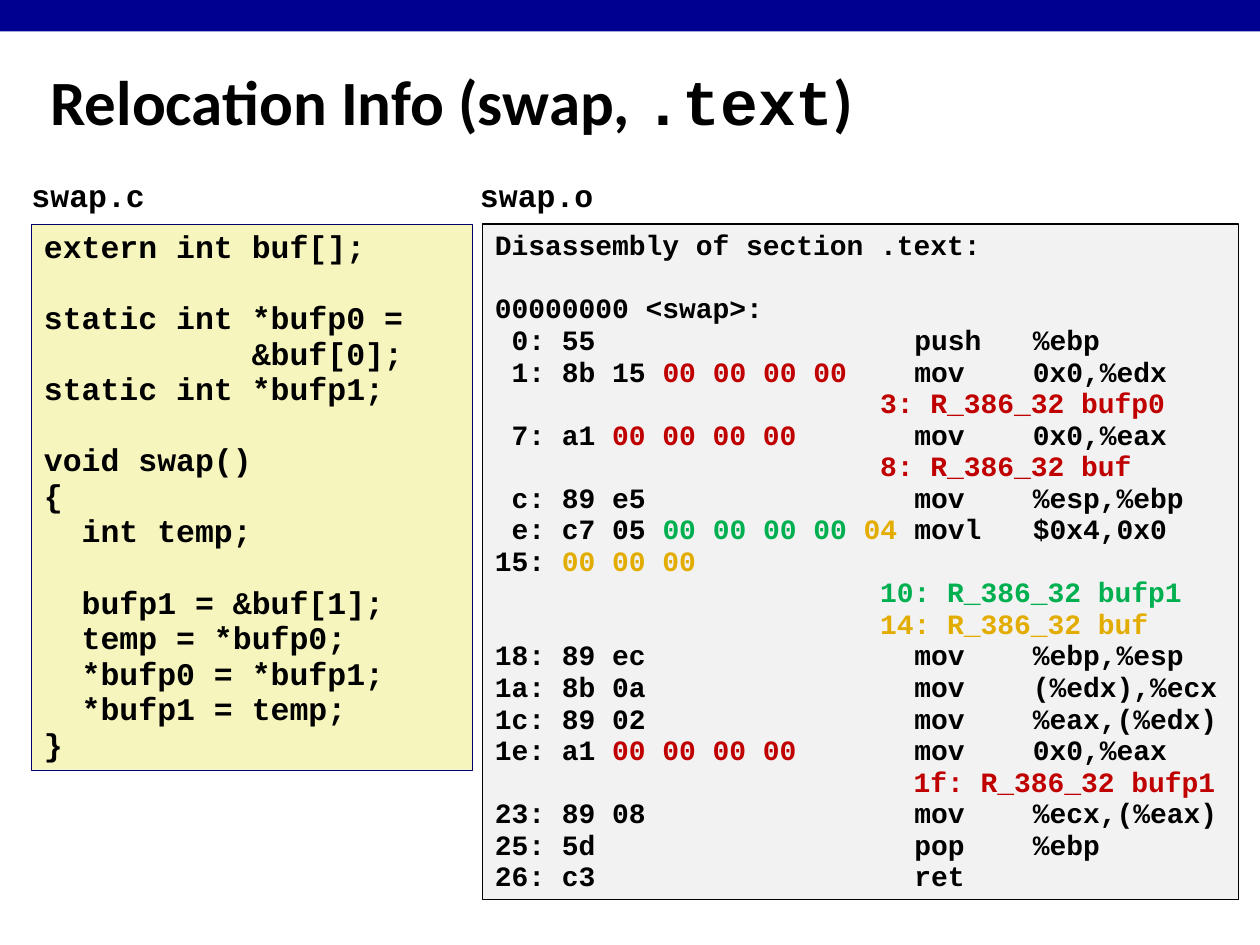
import pptx
import pptx.dml.color
import pptx.enum.shapes
import pptx.enum.text
import pptx.oxml.ns
import pptx.util
from lxml import etree
from pptx.util import Inches

RGBColor = pptx.dml.color.RGBColor
BLACK = RGBColor(0x00, 0x00, 0x00)
NAVY = RGBColor(0x00, 0x00, 0x90)
DARK_NAVY = RGBColor(0x00, 0x00, 0x66)
CREAM = RGBColor(0xF6, 0xF5, 0xBD)
GRAY = RGBColor(0xF2, 0xF2, 0xF2)
RED = RGBColor(0xC0, 0x00, 0x00)
GREEN = RGBColor(0x00, 0xB0, 0x50)
GOLD = RGBColor(0xE2, 0xAC, 0x00)

SOURCE_CODE = """extern int buf[];

static int *bufp0 =
           &buf[0];
static int *bufp1;

void swap()
{
  int temp;

  bufp1 = &buf[1];
  temp = *bufp0;
  *bufp0 = *bufp1;
  *bufp1 = temp;
}""".split("\n")

INDENT = " " * 23
DISASSEMBLY = [
    "Disassembly of section .text:",
    "",
    "00000000 <swap>:",
    " 0: 55\tpush\t%ebp",
    [" 1: 8b 15 ", ("00 00 00 00", RED), "\tmov\t0x0,%edx"],
    [(INDENT + "3: R_386_32 bufp0", RED)],
    [" 7: a1 ", ("00 00 00 00", RED), "\tmov\t0x0,%eax"],
    [(INDENT + "8: R_386_32 buf", RED)],
    " c: 89 e5\tmov\t%esp,%ebp",
    [" e: c7 05 ", ("00 00 00 00 ", GREEN), ("04", GOLD), "\tmovl\t$0x4,0x0"],
    ["15: ", ("00 00 00", GOLD)],
    [(INDENT + "10: R_386_32 bufp1", GREEN)],
    [(INDENT + "14: R_386_32 buf", GOLD)],
    "18: 89 ec\tmov\t%ebp,%esp",
    "1a: 8b 0a\tmov\t(%edx),%ecx",
    "1c: 89 02\tmov\t%eax,(%edx)",
    ["1e: a1 ", ("00 00 00 00", RED), "\tmov\t0x0,%eax"],
    [(INDENT + "  1f: R_386_32 bufp1", RED)],
    "23: 89 08\tmov\t%ecx,(%eax)",
    "25: 5d\tpop\t%ebp",
    "26: c3\tret",
]


class CodeSlide:
    """Holds the fonts and the slide, and adds each kind of element."""

    heading_font = "Calibri"
    code_font = "Courier New"
    line_height = 1.13

    def __init__(self, slide):
        self.slide = slide

    def style(self, paragraph, size, name=None):
        paragraph.font.size = pptx.util.Pt(size)
        paragraph.font.bold = True
        paragraph.font.color.rgb = BLACK
        if name:
            paragraph.font.name = name

    def title(self, parts, left, top, width, height):
        title = self.slide.shapes.title
        title.left, title.top = Inches(left), Inches(top)
        title.width, title.height = Inches(width), Inches(height)
        frame = title.text_frame
        frame.auto_size = pptx.enum.text.MSO_AUTO_SIZE.NONE
        frame.vertical_anchor = pptx.enum.text.MSO_ANCHOR.MIDDLE
        heading = frame.paragraphs[0]
        heading.alignment = pptx.enum.text.PP_ALIGN.LEFT
        heading.line_spacing = 0.82
        self.style(heading, 36)
        for text, font_name in parts:
            run = heading.add_run()
            run.text = text
            run.font.name = font_name

    def box(self, left, top, width, height, fill, line=None, line_width=0):
        box = self.slide.shapes.add_shape(
            pptx.enum.shapes.MSO_SHAPE.RECTANGLE,
            Inches(left), Inches(top), Inches(width), Inches(height))
        box.shadow.inherit = False
        box.fill.solid()
        box.fill.fore_color.rgb = fill
        if line is None:
            box.line.fill.background()
        else:
            box.line.color.rgb = line
            box.line.width = pptx.util.Pt(line_width)
        return box

    def tabs(self, paragraph, columns, size):
        properties = paragraph._p.get_or_add_pPr()
        stops = etree.SubElement(properties, pptx.oxml.ns.qn("a:tabLst"))
        for column in columns:
            position = Inches(round(column * 0.6 * size / 72, 2))
            etree.SubElement(stops, pptx.oxml.ns.qn("a:tab"),
                             pos=str(position), algn="l")

    def code(self, box, lines, size, columns=()):
        frame = box.text_frame
        frame.word_wrap = True
        frame.vertical_anchor = pptx.enum.text.MSO_ANCHOR.TOP
        paragraph = frame.paragraphs[0]
        for previous, line in zip([None] + lines, lines):
            if not line:
                continue
            if previous is not None:
                paragraph = frame.add_paragraph()
            paragraph.alignment = pptx.enum.text.PP_ALIGN.LEFT
            paragraph.line_spacing = 0.94
            if previous == "":
                paragraph.space_before = pptx.util.Pt(round(size * self.line_height, 1))
            if columns:
                self.tabs(paragraph, columns, size)
            self.style(paragraph, size, self.code_font)
            for part in [line] if isinstance(line, str) else line:
                text, color = (part, None) if isinstance(part, str) else part
                run = paragraph.add_run()
                run.text = text
                if color is not None:
                    run.font.color.rgb = color

    def label(self, text, left, top, width, height):
        label = self.slide.shapes.add_textbox(
            Inches(left), Inches(top), Inches(width), Inches(height))
        label.text_frame.word_wrap = False
        paragraph = label.text_frame.paragraphs[0]
        paragraph.text = text
        paragraph.alignment = pptx.enum.text.PP_ALIGN.CENTER
        paragraph.line_spacing = 0.9
        self.style(paragraph, 18, self.code_font)


def main():
    deck = pptx.Presentation()
    deck.slide_width, deck.slide_height = Inches(10), Inches(7.5)
    page = CodeSlide(deck.slides.add_slide(deck.slide_layouts[5]))
    page.box(0, 0, 10, 0.25, NAVY)
    page.title([("Relocation Info (swap, ", page.heading_font),
                (".text", page.code_font),
                (")", page.heading_font)], 0.3, 0.42, 9.53, 0.86)
    object_box = page.box(3.83, 1.78, 6, 5.36, GRAY, BLACK, 1)
    page.code(object_box, DISASSEMBLY, 16, columns=(25, 32))
    source_box = page.box(0.25, 1.78, 3.5, 4.33, CREAM, DARK_NAVY, 0.25)
    page.code(source_box, SOURCE_CODE, 18)
    page.label("swap.c", 0.15, 1.38, 1.1, 0.37)
    page.label("swap.o", 3.71, 1.38, 1.1, 0.37)
    deck.save("out.pptx")


if __name__ == "__main__":
    main()
